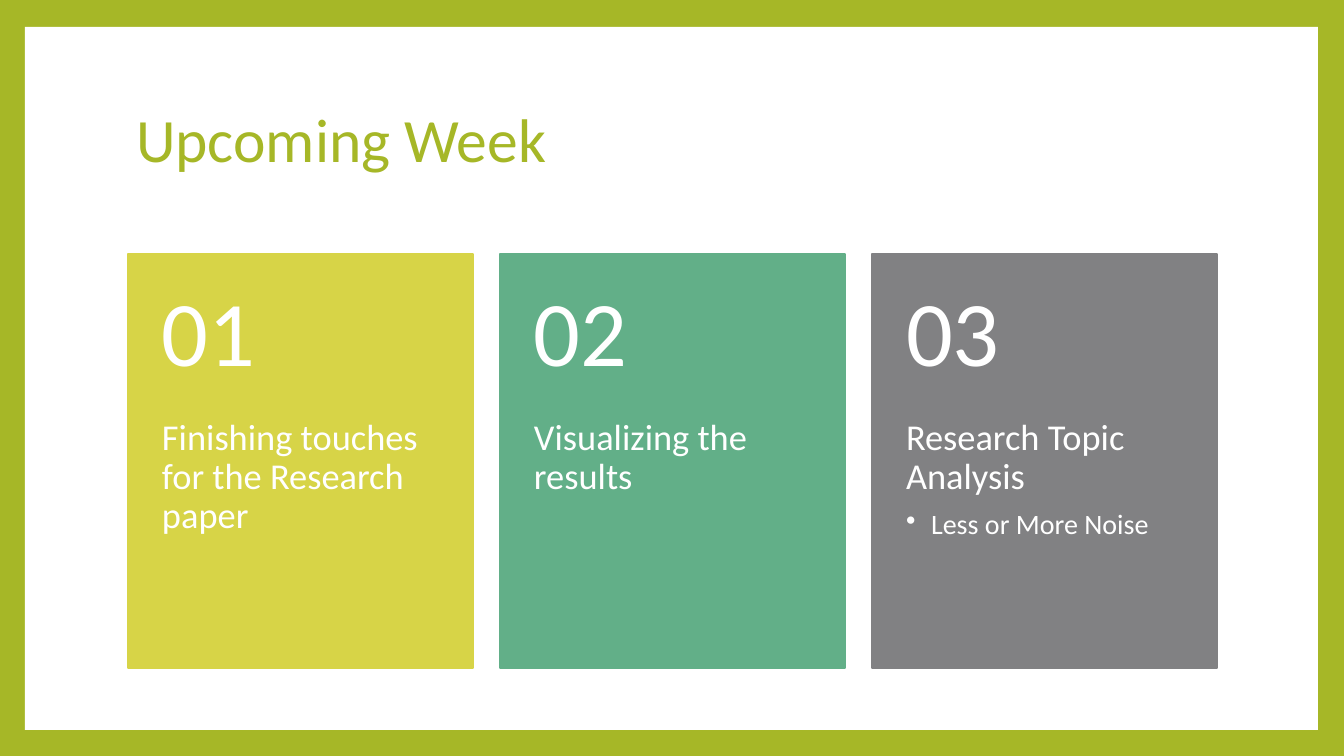
from dataclasses import dataclass

from lxml.etree import SubElement
from pptx import Presentation
from pptx.dml.color import RGBColor
from pptx.enum.shapes import MSO_SHAPE as Shape
from pptx.enum.text import MSO_ANCHOR as Anchor, PP_ALIGN as Align
from pptx.oxml.ns import qn
from pptx.util import Pt

TITLE = "Upcoming Week"
CARDS = [
    ("01", "D7D447", "Finishing touches for the Research paper", []),
    ("02", "62AF88", "Visualizing the results", []),
    ("03", "818183", "Research Topic Analysis", ["Less or More Noise"]),
]


@dataclass(frozen=True)
class Theme:
    font: str = "Calibri"
    accent: str = "A6B727"
    white: str = "FFFFFF"
    title: int = 44
    number: int = 66
    body: int = 26
    bullet: int = 20


THEME = Theme()
EMU_PER_INCH, PX_PER_INCH = 914400, 100.8
PAGE_SIZE = (1344, 756)
PANEL = (25, 27, 1293, 703)
TITLE_BOX = (126, 68, 1089, 149)
CARD_LEFT, CARD_TOP, CARD_WIDTH, CARD_HEIGHT = 128, 254, 345, 414
CARD_STEP = 372
NUMBER_HEIGHT = 165
SIDE_INSET, NUMBER_INSET, BODY_INSET = 34, 18, 36
BULLET_INDENT = 25


def px(value):
    return round(value * EMU_PER_INCH / PX_PER_INCH)


def place(shape, bounds):
    shape.left, shape.top, shape.width, shape.height = map(px, bounds)


def style(para, size, color, after=0):
    para.alignment = Align.LEFT
    para.line_spacing = 0.9
    para.space_before = Pt(0)
    para.space_after = Pt(after)
    para.font.name = THEME.font
    para.font.size = Pt(size)
    para.font.color.rgb = RGBColor.from_string(color)


def add_block(page, bounds, color):
    block = page.shapes.add_shape(Shape.RECTANGLE, *map(px, bounds))
    block.shadow.inherit = False
    block.fill.solid()
    block.fill.fore_color.rgb = RGBColor.from_string(color)
    block.line.color.rgb = RGBColor.from_string(color)
    block.line.width = Pt(1.5)
    return block


def add_text(page, bounds, insets, anchor, text, size):
    box = page.shapes.add_textbox(*map(px, bounds))
    frame = box.text_frame
    frame.word_wrap = True
    frame.vertical_anchor = anchor
    frame.margin_left = frame.margin_right = px(SIDE_INSET)
    frame.margin_top, frame.margin_bottom = map(px, insets)
    frame.text = text
    style(frame.paragraphs[0], size, THEME.white, size * 0.35)
    return frame


def add_bullet(frame, text):
    para = frame.add_paragraph()
    para.text = text
    para.level = 1
    style(para, THEME.bullet, THEME.white, THEME.bullet * 0.15)
    properties = para._p.get_or_add_pPr()
    properties.set("marL", str(px(BULLET_INDENT)))
    properties.set("indent", str(-px(BULLET_INDENT)))
    mark = SubElement(properties, qn("a:buChar"))
    mark.set("char", "•")
    properties.remove(mark)
    properties.insert_element_before(mark, "a:tabLst", "a:defRPr", "a:extLst")


def add_card(page, index, number, color, heading, bullets):
    left = CARD_LEFT + index * CARD_STEP
    add_block(page, (left, CARD_TOP, CARD_WIDTH, CARD_HEIGHT), color)
    body_top = CARD_TOP + NUMBER_HEIGHT
    body_height = CARD_HEIGHT - NUMBER_HEIGHT
    body = add_text(page, (left, body_top, CARD_WIDTH, body_height),
                    (0, BODY_INSET), Anchor.TOP, heading, THEME.body)
    for bullet in bullets:
        add_bullet(body, bullet)
    add_text(page, (left, CARD_TOP, CARD_WIDTH, NUMBER_HEIGHT),
             (NUMBER_INSET, NUMBER_INSET), Anchor.MIDDLE, number, THEME.number)


def main():
    deck = Presentation()
    deck.slide_width, deck.slide_height = map(px, PAGE_SIZE)
    page = deck.slides.add_slide(deck.slide_layouts[5])
    page.background.fill.solid()
    page.background.fill.fore_color.rgb = RGBColor.from_string(THEME.accent)

    panel = add_block(page, PANEL, THEME.white)
    panel.line.fill.background()

    title = page.shapes.title
    panel.element.addnext(title.element)
    place(title, TITLE_BOX)
    title.text_frame.text = TITLE
    title.text_frame.vertical_anchor = Anchor.MIDDLE
    style(title.text_frame.paragraphs[0], THEME.title, THEME.accent)

    for index, card in enumerate(CARDS):
        add_card(page, index, *card)
    deck.save("out.pptx")


if __name__ == "__main__":
    main()
